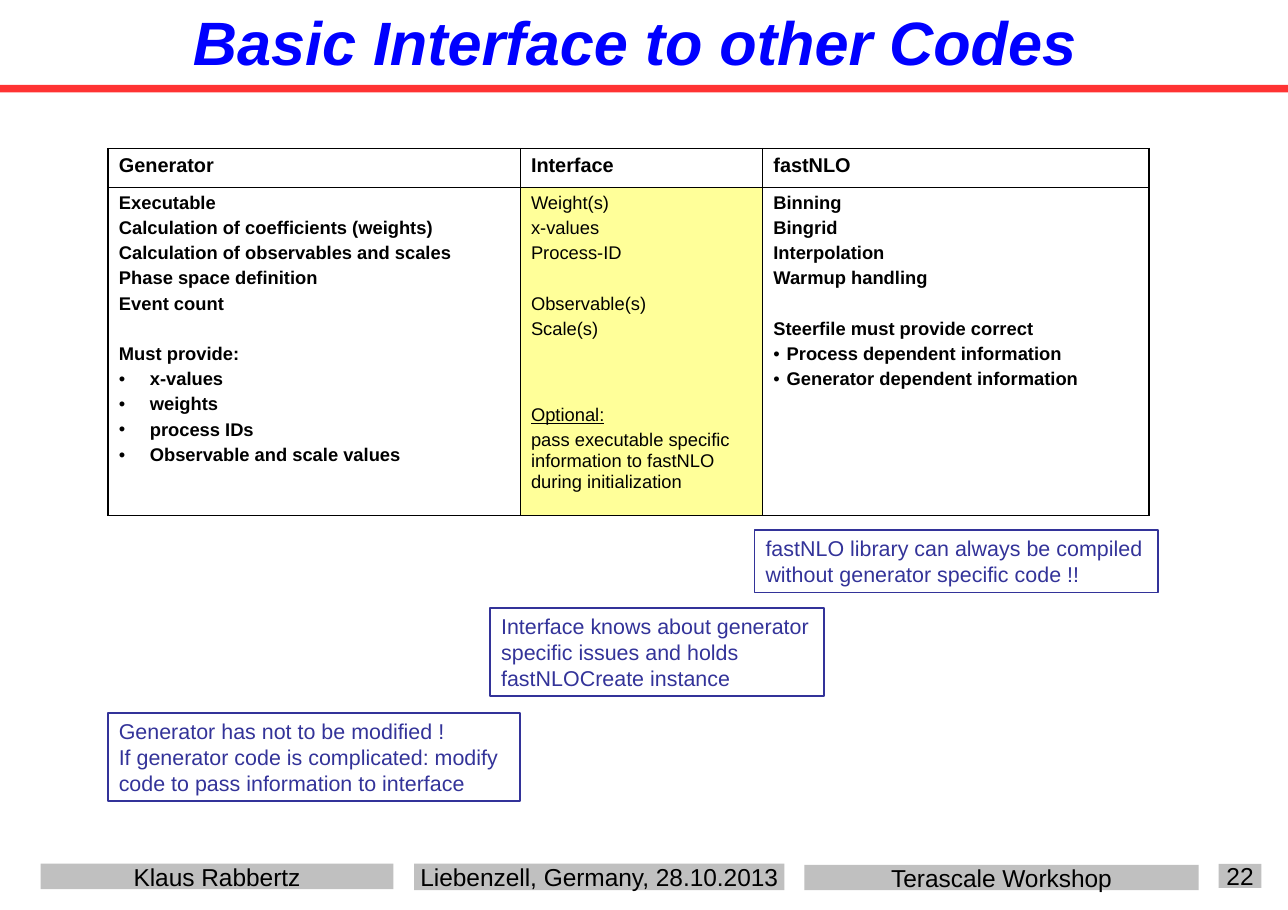
from dataclasses import dataclass

from lxml.etree import SubElement
from pptx import Presentation
from pptx.dml.color import RGBColor as Rgb
from pptx.enum.shapes import MSO_SHAPE as Shape
from pptx.enum.text import MSO_ANCHOR as Anchor, PP_ALIGN as Align
from pptx.oxml.ns import qn
from pptx.util import Pt

PX = 9144  # EMU per px, 100 px to the inch


@dataclass(frozen=True)
class Theme:
    font: str = "Arial"
    black: str = "000000"
    title: str = "0000FF"
    rule: str = "FF3333"
    footer: str = "C0C0C0"
    highlight: str = "FFFF99"
    note: str = "333399"
    title_size: int = 40
    footer_size: int = 16
    note_size: int = 14
    header_size: int = 13
    body_size: int = 12
    thin: float = 0.45
    thick: float = 1.08


THEME = Theme()


@dataclass(frozen=True)
class Line:
    text: str
    before: float = 3
    bullet_indent: int = 0
    underline: bool = False


BLANK_LINE = 19.5  # space before a paragraph that starts a new group
OPTIONAL_GAP = 43

GENERATOR = [
    Line("Executable"),
    Line("Calculation of coefficients (weights)"),
    Line("Calculation of observables and scales"),
    Line("Phase space definition"),
    Line("Event count"),
    Line("Must provide:", before=BLANK_LINE),
    *[Line(item, bullet_indent=28) for item in
      ("x-values", "weights", "process IDs", "Observable and scale values")],
]
INTERFACE = [
    Line("Weight(s)"),
    Line("x-values"),
    Line("Process-ID"),
    Line("Observable(s)", before=BLANK_LINE),
    Line("Scale(s)"),
    Line("Optional:", before=OPTIONAL_GAP, underline=True),
    Line("pass executable specific information to fastNLO during initialization"),
]
FASTNLO = [
    Line("Binning"),
    Line("Bingrid"),
    Line("Interpolation"),
    Line("Warmup handling"),
    Line("Steerfile must provide correct", before=BLANK_LINE),
    Line("Process dependent information", bullet_indent=12),
    Line("Generator dependent information", bullet_indent=12),
]
# heading, width, lines, bold body, body fill
COLUMNS = [
    ("Generator", 374, GENERATOR, True, None),
    ("Interface", 220, INTERFACE, False, THEME.highlight),
    ("fastNLO", 351, FASTNLO, True, None),
]
NOTES = [
    ((685, 481, 366, 57),
     ["fastNLO library can always be compiled without generator specific code !!"]),
    ((445, 552, 303, 80),
     ["Interface knows about generator specific issues and holds "
      "fastNLOCreate instance"]),
    ((98, 647, 374, 80),
     ["Generator has not to be modified !",
      "If generator code is complicated: modify code to pass information "
      "to interface"]),
]
FOOTERS = [
    ((37, 784, 320, 23), "Klaus Rabbertz"),
    ((376, 784, 336, 24), "Liebenzell, Germany, 28.10.2013"),
    ((730, 785, 358, 23), "Terascale Workshop"),
    ((1106, 784, 39, 22), "22"),
]


def emu(lengths):
    return [length * PX for length in lengths]


def add_run(paragraph, text, size, color, bold=False, italic=False, underline=False):
    run = paragraph.add_run()
    run.text = text
    font = run.font
    font.name, font.size = THEME.font, Pt(size)
    font.bold, font.italic, font.underline = bold, italic, underline
    font.color.rgb = Rgb.from_string(color)


def set_margins(holder, across, down):
    holder.margin_left = holder.margin_right = across * PX
    holder.margin_top = holder.margin_bottom = down * PX


def paragraphs(frame, items):
    for index, item in enumerate(items):
        yield (frame.add_paragraph() if index else frame.paragraphs[0]), item


def set_fill(holder, color):
    if color:
        holder.fill.solid()
        holder.fill.fore_color.rgb = Rgb.from_string(color)
    else:
        holder.fill.background()


def add_rect(slide, box, fill=None, line=None):
    rect = slide.shapes.add_shape(Shape.RECTANGLE, *emu(box))
    rect.shadow.inherit = False
    set_fill(rect, fill)
    if line:
        rect.line.color.rgb = Rgb.from_string(line)
        rect.line.width = Pt(1)
    else:
        rect.line.fill.background()
    return rect


def add_title(slide, text):
    frame = slide.shapes.add_textbox(*emu((82, 0, 988, 75))).text_frame
    frame.word_wrap = True
    frame.vertical_anchor = Anchor.MIDDLE
    set_margins(frame, 0, 0)
    heading = frame.paragraphs[0]
    heading.alignment = Align.CENTER
    add_run(heading, text, THEME.title_size, THEME.title, bold=True, italic=True)


def add_footer(slide, box, text):
    frame = add_rect(slide, box, fill=THEME.footer).text_frame
    frame.word_wrap = False
    frame.vertical_anchor = Anchor.MIDDLE
    set_margins(frame, 0, 0)
    frame.paragraphs[0].alignment = Align.CENTER
    add_run(frame.paragraphs[0], text, THEME.footer_size, THEME.black)


def add_note(slide, box, texts):
    frame = add_rect(slide, box, line=THEME.note).text_frame
    frame.word_wrap = True
    frame.vertical_anchor = Anchor.TOP
    set_margins(frame, 10, 5)
    for paragraph, text in paragraphs(frame, texts):
        paragraph.alignment = Align.LEFT
        add_run(paragraph, text, THEME.note_size, THEME.note)


def set_borders(cell, outer_sides):
    properties = cell._tc.get_or_add_tcPr()
    for side in "LRTB":
        width = THEME.thick if side in outer_sides else THEME.thin
        border = SubElement(properties, qn(f"a:ln{side}"), w=str(Pt(width)))
        SubElement(SubElement(border, qn("a:solidFill")), qn("a:srgbClr"),
                   val=THEME.black)


def set_bullet(paragraph, indent):
    properties = paragraph._p.get_or_add_pPr()
    properties.set("marL", str(indent * PX))
    properties.set("indent", str(-indent * PX))
    SubElement(properties, qn("a:buFont"), typeface=THEME.font)
    SubElement(properties, qn("a:buChar"), char="•")


def fill_cell(cell, lines, size, bold, fill, outer_sides):
    set_margins(cell, 10, 5)
    set_borders(cell, outer_sides)
    set_fill(cell, fill)
    for index, (paragraph, line) in enumerate(paragraphs(cell.text_frame, lines)):
        if index:
            paragraph.space_before = Pt(line.before)
        if line.bullet_indent:
            set_bullet(paragraph, line.bullet_indent)
        add_run(paragraph, line.text, size, THEME.black, bold,
                underline=line.underline)


def add_task_table(slide):
    tasks = slide.shapes.add_table(2, len(COLUMNS), *emu((98, 135, 945, 333))).table
    tasks.first_row = tasks.horz_banding = False
    for row, height in zip(tasks.rows, (35, 298)):
        row.height = height * PX
    edges = ["L", "", "R"]
    for index, (heading, width, lines, bold, fill) in enumerate(COLUMNS):
        tasks.columns[index].width = width * PX
        fill_cell(tasks.cell(0, index), [Line(heading)], THEME.header_size, True,
                  None, edges[index] + "T")
        fill_cell(tasks.cell(1, index), lines, THEME.body_size, bold,
                  fill, edges[index] + "B")


def main():
    deck = Presentation()
    deck.slide_width, deck.slide_height = emu((1169, 826))
    slide = deck.slides.add_slide(deck.slide_layouts[6])

    # Footer and title rule
    for box, text in FOOTERS:
        add_footer(slide, box, text)
    add_rect(slide, (0, 77, 1169, 7), fill=THEME.rule)

    # Title, table and notes
    add_title(slide, "Basic Interface to other Codes")
    add_task_table(slide)
    for box, texts in NOTES:
        add_note(slide, box, texts)

    deck.save("out.pptx")


if __name__ == "__main__":
    main()
